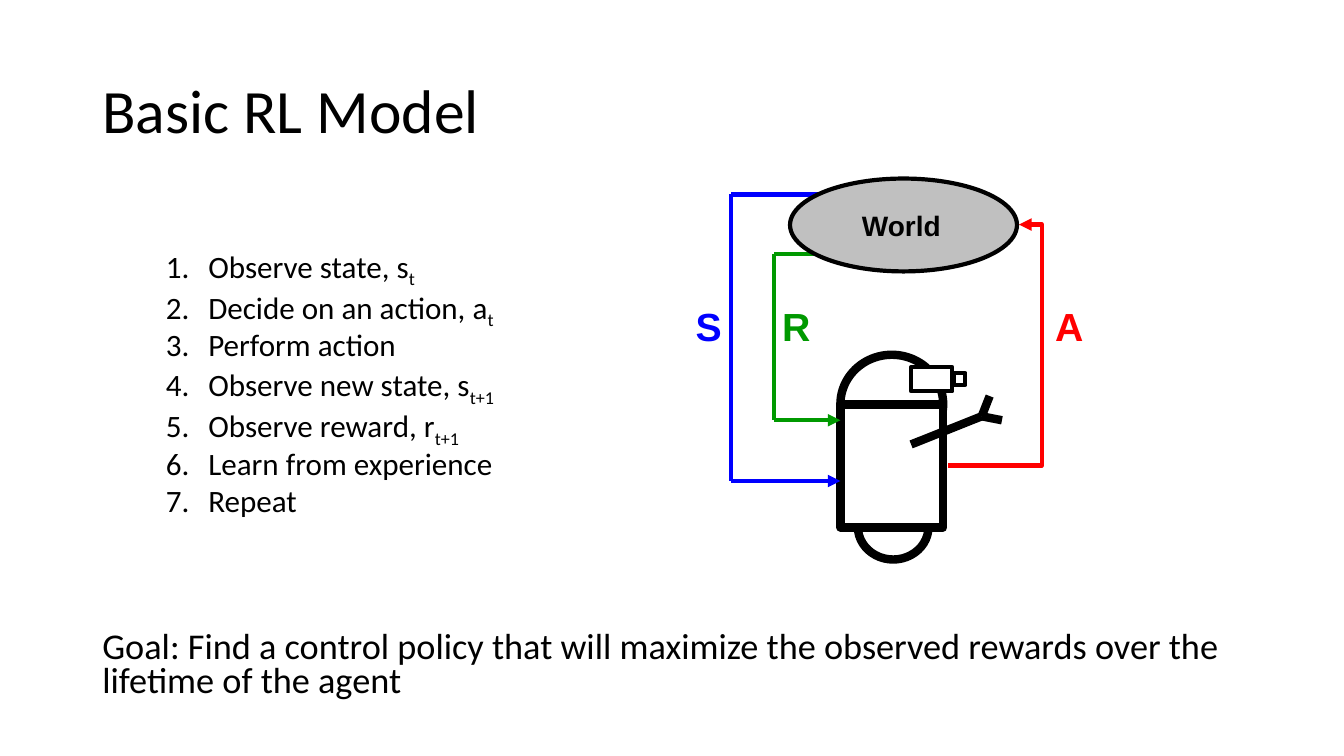
from itertools import pairwise

from lxml import etree
from pptx import Presentation
from pptx import util as u
from pptx.dml.color import RGBColor
from pptx.enum import shapes, text
from pptx.oxml.ns import qn

BLACK, WHITE, GREY = "000000", "FFFFFF", "C0C0C0"
RED, BLUE, GREEN = "FF0000", "0000FF", "009900"
ELLIPSE = shapes.MSO_SHAPE.OVAL
RECTANGLE = shapes.MSO_SHAPE.RECTANGLE


def colour(code):
    return RGBColor.from_string(code)


def apply(target, values):
    for name, value in values.items():
        setattr(target, name, value)


class Page:
    """Holds the slide, its text styles and the collection that receives new shapes."""

    title = {"name": "Calibri", "size": u.Pt(44)}
    steps = {"name": "Calibri", "size": u.Pt(22.2)}
    goal = {"name": "Calibri", "size": u.Pt(25.9)}
    signal = {"name": "Arial", "size": u.Pt(28), "bold": True}
    world = {"name": "Arial", "size": u.Pt(20), "bold": True}

    def __init__(self, deck):
        self.slide = deck.slides.add_slide(deck.slide_layouts[6])
        self.target = self.slide.shapes

    def start_group(self):
        self.target = self.slide.shapes.add_group_shape().shapes

    def end_group(self):
        self.target = self.slide.shapes

    def outline(self, item, code, width):
        item.line.color.rgb = colour(code)
        item.line.width = u.Pt(width)

    def shape(self, kind, place, width, fill=WHITE):
        item = self.target.add_shape(kind, *map(u.Cm, place))
        item.shadow.inherit = False
        item.fill.solid()
        item.fill.fore_color.rgb = colour(fill)
        self.outline(item, BLACK, width)

    def line(self, start, end, code, width, arrow=False, bend=None):
        """Draw a straight connector, or an elbow whose middle leg is at bend."""
        types = shapes.MSO_CONNECTOR
        kind = types.STRAIGHT if bend is None else types.ELBOW
        item = self.target.add_connector(kind, *map(u.Cm, (*start, *end)))
        self.outline(item, code, width)
        properties = item._element.spPr
        if arrow:
            etree.SubElement(properties.find(qn("a:ln")), qn("a:tailEnd"), type="triangle")
        if bend is not None:
            guides = properties.find(qn("a:prstGeom")).get_or_add_avLst()
            etree.SubElement(guides, qn("a:gd"), name="adj1", fmla=f"val {round(bend * 100000)}")
        etree.SubElement(properties, qn("a:effectLst"))

    def text(self, place, paragraphs, font, code=BLACK, layout=None, middle=False,
             wrap=True, numbered=False):
        """Write paragraphs, each a pair of plain text and subscript."""
        box = self.target.add_textbox(*map(u.Cm, place))
        frame = box.text_frame
        frame.word_wrap = wrap
        if middle:
            frame.vertical_anchor = text.MSO_ANCHOR.MIDDLE
        for index, parts in enumerate(paragraphs):
            para = frame.paragraphs[0] if index == 0 else frame.add_paragraph()
            apply(para, layout or {})
            if index == 0:
                para.space_before = u.Pt(0)
            if numbered:
                self.number(para)
            for level, words in enumerate(parts):
                span = para.add_run()
                span.text = words
                apply(span.font, font)
                span.font.color.rgb = colour(code)
                if level:
                    span._r.get_or_add_rPr().set("baseline", "-25000")

    def number(self, para):
        properties = para._p.get_or_add_pPr()
        properties.set("marL", str(u.Cm(2.67)))
        properties.set("indent", str(u.Cm(-1.07)))
        etree.SubElement(properties, qn("a:buFont"), typeface="+mj-lt")
        etree.SubElement(properties, qn("a:buAutoNum"), type="arabicPeriod")

    def label(self, place, words, font, code):
        self.text(place, [(words,)], font, code, {"alignment": text.PP_ALIGN.CENTER},
                  middle=True, wrap=False)


def draw_robot(page):
    page.start_group()
    page.shape(ELLIPSE, (21.18, 8.94, 2.59, 2.49), 6)
    page.shape(ELLIPSE, (21.62, 12.45, 1.78, 1.65), 6)
    page.shape(RECTANGLE, (21.18, 10.19, 2.59, 3.1), 6)
    wrist = (24.74, 10.49)
    page.line((22.96, 11.2), wrist, BLACK, 6)
    for fingertip in ((24.94, 9.98), (25.25, 10.59)):
        page.line(wrist, fingertip, BLACK, 6)
    page.shape(RECTANGLE, (22.96, 9.25, 1.04, 0.61), 3)
    page.shape(RECTANGLE, (24.03, 9.4, 0.3, 0.3), 3)
    page.end_group()


def draw_signals(page):
    page.line((23.9, 11.73), (25.68, 5.66), RED, 3, arrow=True, bend=1.325)
    for words, left, code in (("A", 26.34, RED), ("S", 17.25, BLUE), ("R", 19.46, GREEN)):
        page.label((left, 7.49, 1.22, 1.45), words, page.signal, code)
    world_edge, robot_edge = 20.9, 21.18
    for side, top, bottom, code in ((18.42, 4.9, 12.12, BLUE), (19.51, 6.4, 10.59, GREEN)):
        route = [(world_edge, top), (side, top), (side, bottom), (robot_edge, bottom)]
        for start, end in pairwise(route):
            page.line(start, end, code, 3, arrow=end == route[-1])


def draw_world(page):
    page.start_group()
    page.shape(ELLIPSE, (19.91, 4.5, 5.72, 2.34), 3, GREY)
    page.label((21.46, 5.13, 2.51, 1.09), "World", page.world, BLACK)
    page.end_group()


def main():
    deck = Presentation()
    deck.slide_width, deck.slide_height = u.Cm(33.87), u.Cm(19.05)
    page = Page(deck)
    page.text((2.33, 1.01, 29.21, 3.68), [("Basic RL Model",)], page.title,
              layout={"line_spacing": 0.9}, middle=True)
    steps = [
        ("Observe state, s", "t"),
        ("Decide on an action, a", "t"),
        ("Perform action",),
        ("Observe new state, s", "t+1"),
        ("Observe reward, r", "t+1"),
        ("Learn from experience",),
        ("Repeat",),
    ]
    page.text((2.33, 6.2, 14, 7.2), steps, page.steps,
              layout={"line_spacing": 0.8, "space_before": u.Pt(5)}, numbered=True)
    goal = ("Goal: Find a control policy that will maximize the observed rewards "
            "over the lifetime of the agent")
    page.text((2.33, 15.78, 29.21, 2.1), [(goal,)], page.goal, layout={"line_spacing": 0.8})
    draw_robot(page)
    draw_signals(page)
    draw_world(page)
    deck.save("out.pptx")


if __name__ == "__main__":
    main()
